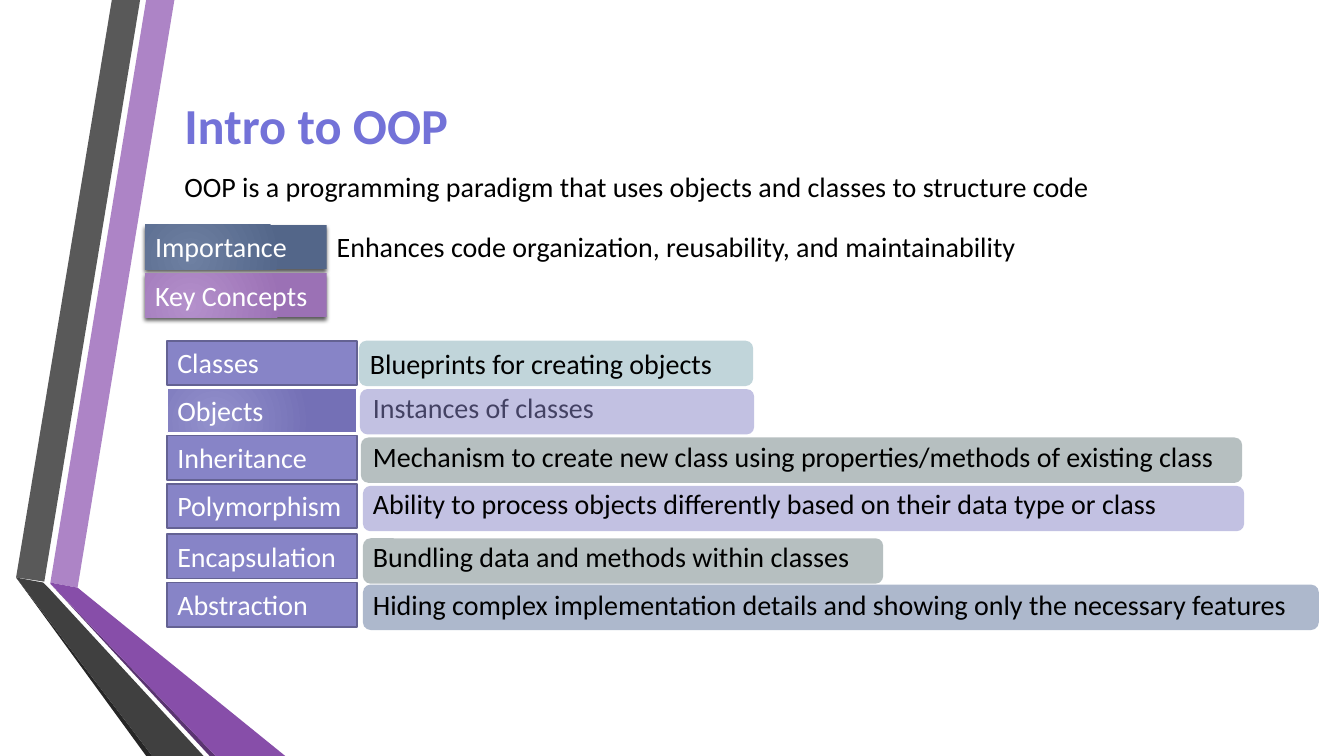
from lxml.etree import SubElement
from pptx import Presentation
from pptx.dml.color import RGBColor
from pptx.enum.shapes import MSO_SHAPE as Shape
from pptx.enum.text import MSO_AUTO_SIZE as AutoSize, MSO_ANCHOR as Anchor, PP_ALIGN as Align
from pptx.oxml.ns import qn
from pptx.util import Inches, Pt

FONT = "Calibri"
WHITE, BLACK = RGBColor(0xFF, 0xFF, 0xFF), RGBColor(0, 0, 0)
TITLE_BLUE = RGBColor(0x73, 0x72, 0xD8)
PURPLE, OUTLINE = RGBColor(0x87, 0x84, 0xC7), RGBColor(0x64, 0x62, 0x93)
TEAL, SAGE = RGBColor(0x84, 0xAC, 0xB6), RGBColor(0x6F, 0x81, 0x83)
SLATE = RGBColor(0x5D, 0x73, 0x9A)
SLATE_GLOW = (RGBColor(0x6E, 0x80, 0xA2), RGBColor(0x53, 0x66, 0x89))
ORCHID_GLOW = (RGBColor(0xB4, 0x90, 0xCB), RGBColor(0x9B, 0x71, 0xB5))
PURPLE_GLOW = (RGBColor(0x93, 0x91, 0xCC), RGBColor(0x74, 0x70, 0xB6))

RIBBONS = [
    (RGBColor(0xAD, 0x84, 0xC6), [(0.5, 5.78), (0.77, 5.83), (1.73, 0), (1.45, 0)]),
    (RGBColor(0x59, 0x59, 0x59), [(1.39, 0), (1.11, 0), (0.16, 5.73), (0.44, 5.77)]),
    (RGBColor(0x26, 0x26, 0x26), [(0.16, 5.73), (1.45, 7.5), (1.51, 7.5)]),
    (RGBColor(0x5A, 0x34, 0x71), [(0.5, 5.79), (2.08, 7.5), (2.14, 7.5)]),
    (RGBColor(0x87, 0x4E, 0xA9), [(0.5, 5.79), (2.14, 7.5), (2.83, 7.5), (0.77, 5.83), (0.5, 5.78)]),
    (RGBColor(0x40, 0x40, 0x40), [(2.02, 7.5), (0.48, 5.83), (0.43, 5.78), (0.16, 5.73), (1.51, 7.5)]),
]
TITLE = "Intro to OOP"
SUMMARY = "OOP is a programming paradigm that uses objects and classes to structure code"
IMPORTANCE = "Enhances code organization, reusability, and maintainability"
HEADINGS = [("Importance", 2.23, SLATE_GLOW), ("Key Concepts", 2.71, ORCHID_GLOW)]

# label, label top, meaning, (text left, top, width), (bar left, top, width), bar colour
CONCEPTS = [
    ("Classes", 3.38, "Blueprints for creating objects",
     (3.57, 3.39, 3.68), (3.56, 3.38, 3.91), TEAL),
    ("Objects", 3.85, "Instances of classes",
     (3.6, 3.83, 2.45), (3.57, 3.86, 3.91), PURPLE),
    ("Inheritance", 4.32, "Mechanism to create new class using properties/methods of existing class",
     (3.6, 4.31, 8.62), (3.58, 4.34, 8.74), SAGE),
    ("Polymorphism", 4.8, "Ability to process objects differently based on their data type or class",
     (3.6, 4.78, 8.1), (3.6, 4.82, 8.74), PURPLE),
    ("Encapsulation", 5.3, "Bundling data and methods within classes",
     (3.6, 5.3, 5.1), (3.6, 5.34, 5.16), SAGE),
    ("Abstraction", 5.78, "Hiding complex implementation details and showing only the necessary features",
     (3.6, 5.78, 9.43), (3.6, 5.8, 9.48), SLATE),
]
OVERLAID = "Objects"
ROW_HEIGHT, BAR_HEIGHT = 0.44, 0.45


def write(shape, text, color, size=20, bold=False, wrap=True):
    frame = shape.text_frame
    frame.word_wrap = wrap
    frame.auto_size = AutoSize.SHAPE_TO_FIT_TEXT
    frame.vertical_anchor = Anchor.TOP
    para = frame.paragraphs[0]
    para.alignment = Align.LEFT
    span = para.add_run()
    span.text = text
    span.font.name, span.font.size, span.font.bold = FONT, Pt(size), bold
    span.font.color.rgb = color


def add_text(page, text, left, top, width, height=ROW_HEIGHT, color=BLACK, **style):
    box = page.shapes.add_textbox(Inches(left), Inches(top), Inches(width), Inches(height))
    write(box, text, color, **style)


def add_block(page, kind, left, top, width, height):
    block = page.shapes.add_shape(kind, Inches(left), Inches(top), Inches(width), Inches(height))
    block.shadow.inherit = False
    block.line.fill.background()
    return block


def paint(shape, color):
    shape.fill.solid()
    shape.fill.fore_color.rgb = color


def paint_glow(shape, colors):
    shape.fill.gradient()
    for stop, color, position in zip(shape.fill.gradient_stops, colors, (0, 1)):
        stop.color.rgb, stop.position = color, position
    gradient = shape.element.spPr.find(qn("a:gradFill"))
    gradient.remove(gradient.find(qn("a:lin")))
    circle = SubElement(gradient, qn("a:path"), path="circle")
    SubElement(circle, qn("a:fillToRect"), l="50000", t="100000", r="100000", b="50000")


def add_shadow(shape):
    effects = shape.element.spPr.find(qn("a:effectLst"))
    shadow = SubElement(effects, qn("a:outerShdw"), blurRad=str(Pt(3)), dist=str(Pt(2)),
                        dir="5400000", rotWithShape="0")
    color = SubElement(shadow, qn("a:srgbClr"), val="000000")
    SubElement(color, qn("a:alpha"), val="64000")


def add_ribbon(page, color, points):
    corners = [(Inches(x), Inches(y)) for x, y in points]
    builder = page.shapes.build_freeform(*corners[0])
    builder.add_line_segments(corners[1:], close=True)
    ribbon = builder.convert_to_shape()
    ribbon.shadow.inherit = False
    ribbon.line.fill.background()
    paint(ribbon, color)


def add_bar(page, left, top, width, color):
    bar = add_block(page, Shape.ROUNDED_RECTANGLE, left, top, width, BAR_HEIGHT)
    paint(bar, color)
    tint = bar.element.spPr.find(qn("a:solidFill"))[0]
    SubElement(tint, qn("a:alpha"), val="50000")


def add_label(page, name, top):
    label = add_block(page, Shape.RECTANGLE, 1.66, top, 1.88, ROW_HEIGHT)
    if name == OVERLAID:
        paint_glow(label, PURPLE_GLOW)
        label.line.color.rgb, label.line.width = WHITE, Pt(0.75)
    else:
        paint(label, PURPLE)
        label.line.color.rgb, label.line.width = OUTLINE, Pt(1.25)
    write(label, name, WHITE, wrap=name != "Polymorphism")


def main():
    """Build the introductory OOP slide."""
    deck = Presentation()
    deck.slide_width, deck.slide_height = Inches(13.33), Inches(7.5)
    page = deck.slides.add_slide(deck.slide_layouts[6])
    for color, points in RIBBONS:
        add_ribbon(page, color, points)
    for name, _, _, _, place, color in CONCEPTS:
        if name != OVERLAID:
            add_bar(page, *place, color)
    add_text(page, TITLE, 1.73, 0.88, 3.06, 0.71, color=TITLE_BLUE, size=36, bold=True)
    add_text(page, SUMMARY, 1.73, 1.63, 9.46)
    for name, top, glow in HEADINGS:
        heading = add_block(page, Shape.RECTANGLE, 1.44, top, 1.8, ROW_HEIGHT)
        paint_glow(heading, glow)
        add_shadow(heading)
        write(heading, name, WHITE)
    add_text(page, IMPORTANCE, 3.24, 2.23, 7.15, wrap=False)
    for name, top, meaning, place, _, _ in CONCEPTS:
        add_label(page, name, top)
        add_text(page, meaning, *place)
    for name, _, _, _, place, color in CONCEPTS:
        if name == OVERLAID:
            add_bar(page, *place, color)
    deck.save("out.pptx")


if __name__ == "__main__":
    main()
